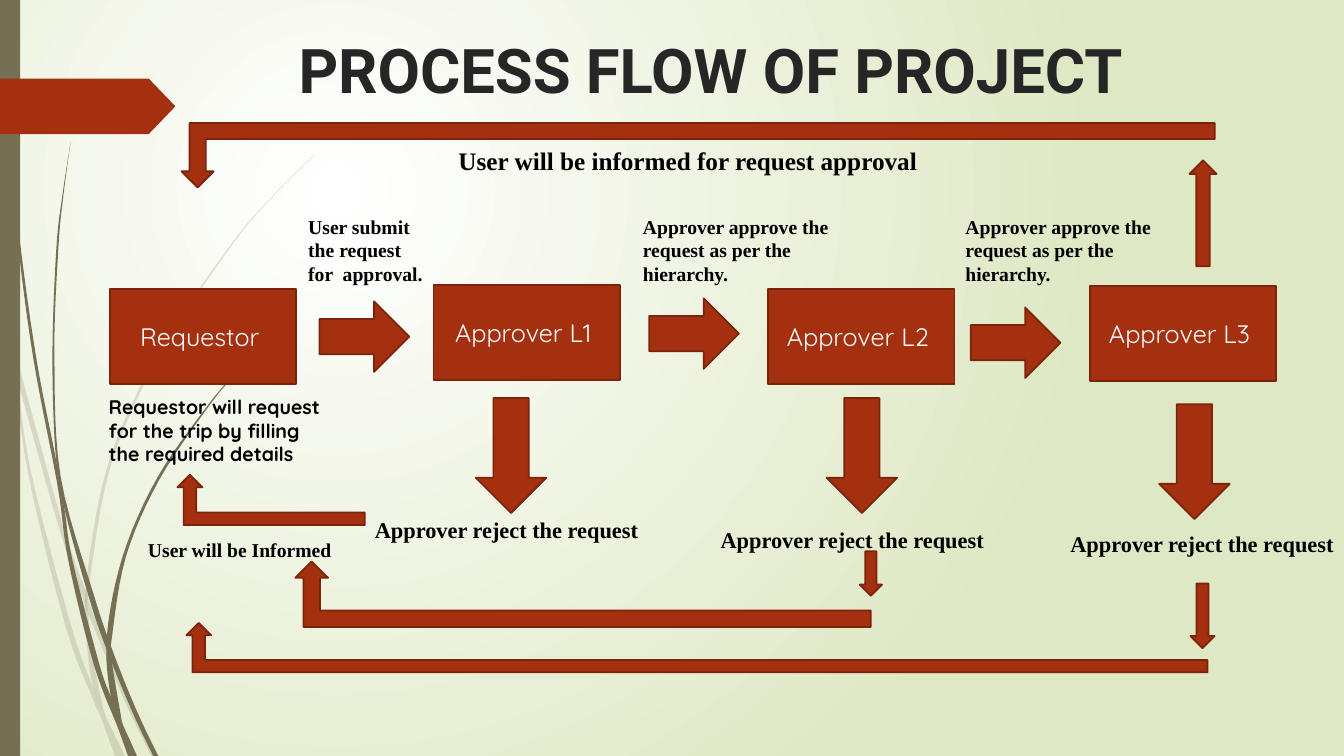
from dataclasses import dataclass

from lxml.etree import SubElement
from pptx import Presentation
from pptx.dml.color import RGBColor
from pptx.enum.shapes import MSO_SHAPE as Kind
from pptx.enum.text import MSO_ANCHOR as Anchor
from pptx.enum.text import MSO_AUTO_SIZE as Auto
from pptx.enum.text import PP_ALIGN as Align
from pptx.oxml.ns import qn
from pptx.shapes.autoshape import Shape
from pptx.slide import Slide
from pptx.util import Inches, Pt

COLS, ROWS = 133.33, 75
CELL = Inches(0.1)
RUST, EDGE, MOSS, INK, WHITE = "A53010", "7A240C", "766F54", "000000", "FFFFFF"
SERIF, ROUND, HEAD = "Times New Roman", "Quicksand", "Roboto"
STEPS = 6

Point = tuple[float, float]


@dataclass
class Area:
    x: float
    y: float
    w: float
    h: float

    def place(self) -> list[int]:
        return [round(v * CELL) for v in (self.x, self.y, self.w, self.h)]


@dataclass
class Arrow:
    kind: Kind
    area: Area
    turn: int = 0
    flip: bool = False


@dataclass
class Step:
    name: str
    x: float
    y: float


@dataclass
class Label:
    text: str
    area: Area
    size: int = 14
    font: str = SERIF
    wrap: bool = True


@dataclass
class Blade:
    out: list[Point]
    back: list[Point]
    alpha: int = 100


BLADES = [
    Blade([(0, 28.2), (0.9, 32.2), (1.7, 37.6), (3.1, 46.9), (7, 61.9), (9.3, 68.3), (10.5, 71.1), (12.4, 75)],
          [(11.4, 75), (10.1, 71.4), (9.2, 69.3), (6.5, 62.1), (2.8, 47), (1.1, 35), (0, 29.9)], 20),
    Blade([(1.4, 34.5), (6.2, 52), (8.5, 58.6), (9.2, 60.7), (12.7, 69.2), (15.5, 75)],
          [(15, 75), (12.3, 69.4), (8.8, 61), (8.4, 59.9), (5.8, 52.2), (1.7, 37.6)], 20),
    Blade([(31.2, 15.3), (26.8, 19.7), (22.8, 24.4), (15.8, 34.8), (10.7, 46.1), (8.5, 58.4), (8.7, 64.6),
           (9.3, 68.3), (10.5, 71.1)],
          [(10.3, 70.6), (9.1, 64.6), (8.8, 61), (8.8, 58.4), (11, 46.2), (16, 34.9), (22.9, 24.5),
           (26.8, 19.8), (31.2, 15.4)], 20),
    Blade([(0.4, 0), (0.5, 4.8), (0.8, 10.9), (1.9, 23.2), (3.6, 35.5), (5.5, 45.3), (6.4, 50.5), (7.2, 55.6),
           (9.8, 65.7), (11, 69.1), (12.2, 71.9), (13.6, 75)],
          [(12.7, 75), (11.7, 72.2), (9.3, 65.9), (6.8, 55.7), (5.7, 48.1), (3.3, 35.5), (1.7, 23.3),
           (0.7, 11), (0.3, 0)]),
    Blade([(7, 14.1), (6.2, 19.3), (5.6, 24.5), (5.2, 34.9), (5.5, 44.9), (6.4, 50.5), (8.8, 59.2),
           (10.6, 64.5), (13.2, 70.8), (15.2, 75)],
          [(15.7, 75), (13.6, 70.6), (11.3, 64.9), (9.3, 59), (6, 47.2), (5.4, 34.9), (5.8, 24.5),
           (6.3, 19.3), (7, 14.1)]),
    Blade([(26, 34.4), (23.1, 37.3), (20.4, 40.5), (15.6, 47.4), (12.2, 55.1), (10.6, 63.1), (11, 69.1),
           (12.2, 71.9)],
          [(12.1, 71.6), (11.1, 65.6), (11.1, 63.3), (12.5, 55.2), (15.8, 47.6), (20.5, 40.6),
           (23.1, 37.4), (26, 34.4)]),
]

ARROWS = [
    *[Arrow(Kind.RIGHT_ARROW, Area(x, y, 8.9, 7)) for x, y in ((31.7, 29.9), (64.4, 29.6), (96.3, 30.5))],
    *[Arrow(Kind.DOWN_ARROW, Area(x, y, 7, 11.4)) for x, y in ((47.2, 39.5), (82, 39.5), (115, 40.1))],
    Arrow(Kind.BENT_UP_ARROW, Area(29.3, 55.7, 57.1, 6.5), flip=True),
    Arrow(Kind.BENT_UP_ARROW, Area(17.6, 47.1, 18.6, 5), flip=True),
    Arrow(Kind.BENT_UP_ARROW, Area(18.5, 61.8, 101.3, 4.9), flip=True),
    Arrow(Kind.BENT_UP_ARROW, Area(18, 12.2, 102.5, 6.4), turn=180),
    Arrow(Kind.DOWN_ARROW, Area(85.3, 54.7, 2.2, 4.4)),
    Arrow(Kind.DOWN_ARROW, Area(118.1, 57.9, 2.4, 6.4)),
    Arrow(Kind.UP_ARROW, Area(118, 15.9, 2.7, 10.5)),
]

PATH = [
    Step("Requestor ", 10.9, 28.7),
    Step("Approver L1 ", 43, 28.3),
    Step("Approver L2 ", 76.2, 28.7),
    Step("Approver L3 ", 108.1, 28.4),
]

LABELS = [
    Label("Requestor will request for the trip by filling the required details",
          Area(9.8, 38.7, 24.1, 8.1), font=ROUND),
    Label("User submit the request for  approval.", Area(29.6, 20.8, 13.4, 8.1)),
    *[Label("Approver approve the request as per the hierarchy.", Area(x, 20.8, 23.6, 8.1))
      for x in (62.8, 94.8)],
    *[Label("Approver reject the request", Area(x, y, w, 3.7), 16)
      for x, y, w in ((36.2, 50.7, 33.5), (70.5, 51.7, 33.5), (105.2, 52.1, 32.1))],
    Label("User will be Informed", Area(13.7, 52.9, 20.4, 3.4), wrap=False),
    Label("User will be informed for request approval", Area(44.5, 13.9, 68.7, 4), 18),
]


def tint(code: str) -> RGBColor:
    return RGBColor.from_string(code)


def paint(shape: Shape, fill: str, line: str | None = None) -> None:
    shape.shadow.inherit = False
    shape.fill.solid()
    shape.fill.fore_color.rgb = tint(fill)
    if line:
        shape.line.color.rgb = tint(line)
        shape.line.width = Pt(1.25)
    else:
        shape.line.fill.background()


def write(shape: Shape, text: str, *, size: int, font: str, color: str = INK, bold: bool = True,
          align: Align = Align.LEFT, anchor: Anchor = Anchor.TOP, wrap: bool = True,
          auto: Auto = Auto.NONE) -> None:
    frame = shape.text_frame
    frame.word_wrap = wrap
    frame.auto_size = auto
    frame.vertical_anchor = anchor
    line = frame.paragraphs[0]
    line.alignment = align
    run = line.add_run()
    run.text = text
    run.font.size = Pt(size)
    run.font.name = font
    run.font.bold = bold
    run.font.color.rgb = tint(color)


def shade(slide: Slide) -> None:
    fill = slide.background.fill
    fill.gradient()
    for stop, code in zip(fill.gradient_stops, (WHITE, "DFE8C4")):
        stop.color.rgb = tint(code)
    fill.gradient_stops[0].position = 0
    fill.gradient_stops[1].position = 1
    grad = slide.element.find(".//" + qn("a:gradFill"))
    grad.remove(grad.find(qn("a:lin")))
    way = SubElement(grad, qn("a:path"), path="circle")
    SubElement(way, qn("a:fillToRect"), l="50000", t="50000", r="100000", b="100000")


def blend(a: float, b: float, c: float, d: float, t: float) -> float:
    return b + t * (c - a + t * (2 * a - 5 * b + 4 * c - d + t * (3 * (b - c) + d - a))) / 2


def curve(knots: list[Point]) -> list[Point]:
    ends = [knots[0], *knots, knots[-1]]
    spots = [tuple(blend(*axis, n / STEPS) for axis in zip(*ends[i:i + 4]))
             for i in range(len(knots) - 1) for n in range(STEPS)]
    return [*spots, knots[-1]]


def grow(slide: Slide, blade: Blade) -> None:
    spots = [(round(x * CELL), round(y * CELL)) for x, y in curve(blade.out) + curve(blade.back)]
    maker = slide.shapes.build_freeform(*spots[0])
    maker.add_line_segments(spots[1:], close=True)
    shape = maker.convert_to_shape()
    paint(shape, MOSS)
    if blade.alpha < 100:
        color = shape.element.spPr.find(qn("a:solidFill"))[0]
        SubElement(color, qn("a:alpha"), val=str(blade.alpha * 1000))


def point(slide: Slide, arrow: Arrow) -> None:
    shape = slide.shapes.add_shape(arrow.kind, *arrow.area.place())
    paint(shape, RUST, EDGE)
    shape.rotation = arrow.turn
    if arrow.flip:
        shape.element.spPr.find(qn("a:xfrm")).set("flipH", "1")


def main() -> None:
    deck = Presentation()
    deck.slide_width, deck.slide_height = round(COLS * CELL), ROWS * CELL
    slide = deck.slides.add_slide(deck.slide_layouts[6])
    shapes = slide.shapes
    shade(slide)
    for blade in BLADES:
        grow(slide, blade)
    paint(shapes.add_shape(Kind.RECTANGLE, *Area(0, 0, 2, ROWS).place()), MOSS)
    tag = shapes.add_shape(Kind.PENTAGON, *Area(0, 7.8, 17.4, 5.5).place())
    tag.adjustments[0] = 0.48
    paint(tag, RUST)
    title = shapes.add_textbox(*Area(21.8, -0.2, 97.5, 14).place())
    write(title, "PROCESS FLOW OF PROJECT", size=44, font=HEAD, color="262626",
          align=Align.CENTER, anchor=Anchor.MIDDLE)
    for arrow in ARROWS:
        point(slide, arrow)
    for step in PATH:
        box = shapes.add_shape(Kind.RECTANGLE, *Area(step.x, step.y, 18.5, 9.4).place())
        paint(box, RUST, EDGE)
        write(box, step.name, size=18, font=ROUND, color=WHITE, bold=False,
              align=Align.CENTER, anchor=Anchor.MIDDLE)
    for label in LABELS:
        write(shapes.add_textbox(*label.area.place()), label.text, size=label.size,
              font=label.font, wrap=label.wrap, auto=Auto.SHAPE_TO_FIT_TEXT)
    deck.save("out.pptx")


if __name__ == "__main__":
    main()
